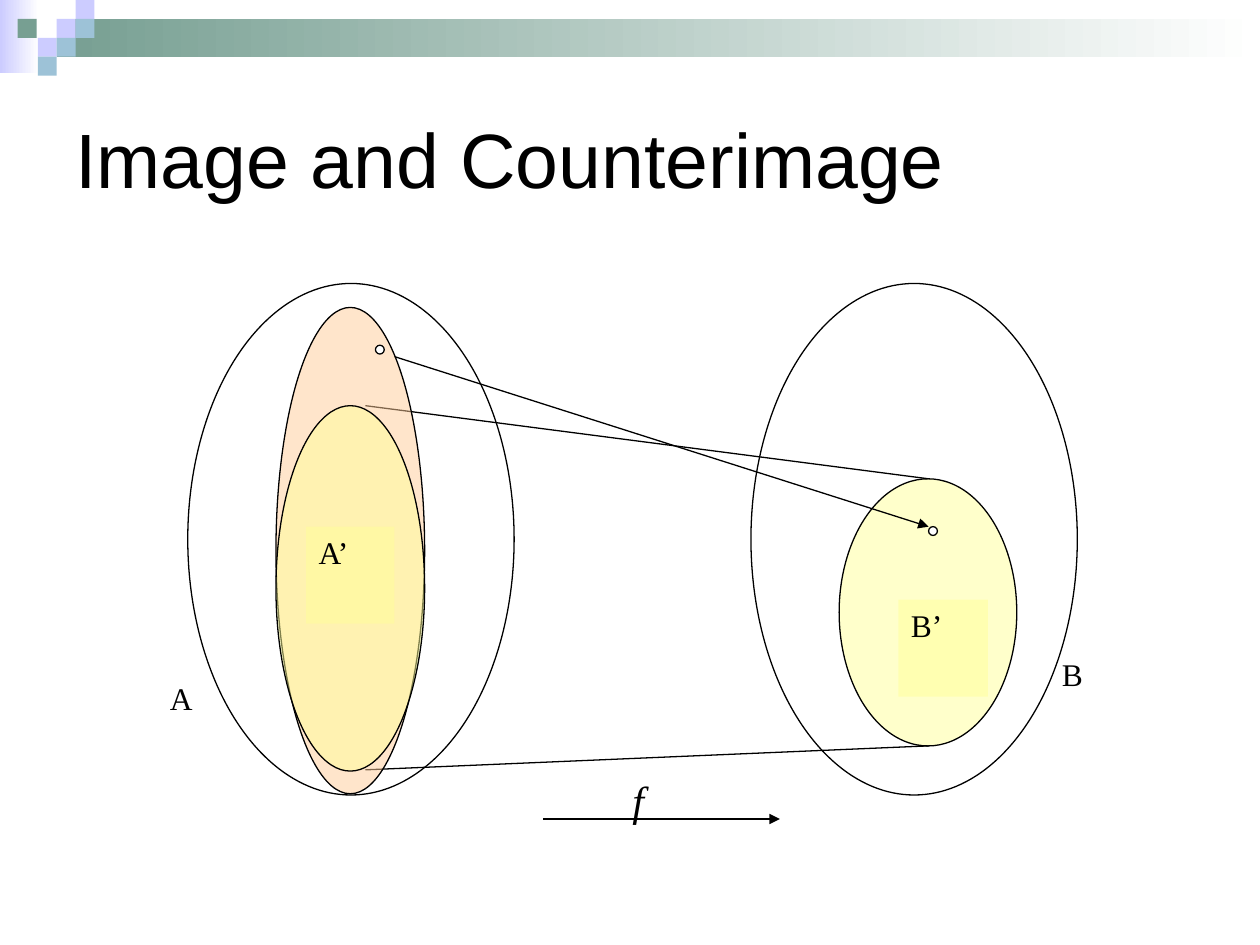
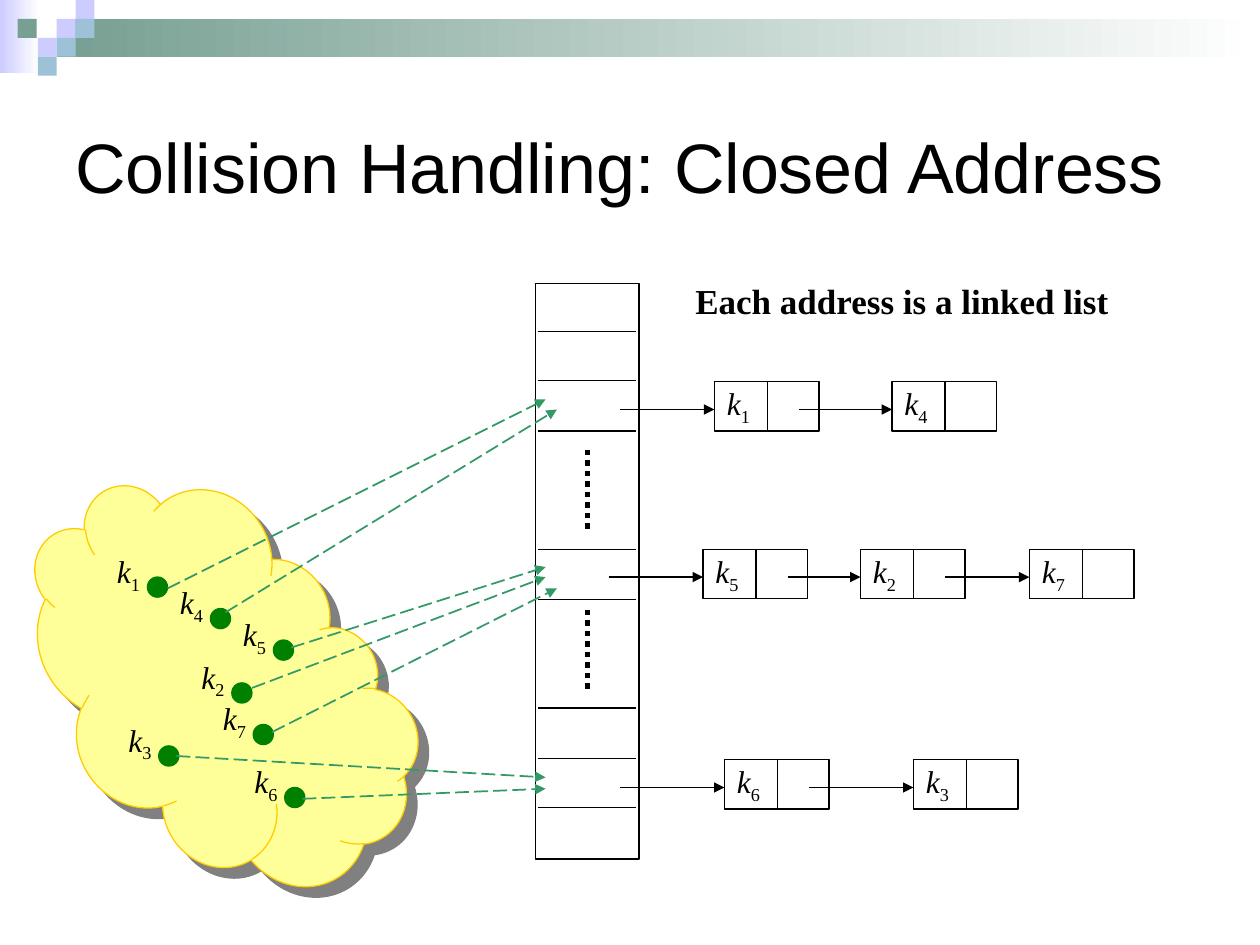
from dataclasses import dataclass

from lxml.etree import SubElement
from pptx import Presentation
from pptx.dml.color import RGBColor
from pptx.enum.dml import MSO_LINE
from pptx.enum.shapes import MSO_CONNECTOR, MSO_SHAPE
from pptx.enum.text import MSO_ANCHOR, PP_ALIGN
from pptx.oxml.ns import qn
from pptx.util import Emu, Pt

EMU_PER_PX = 9144  # 100 px to the inch


@dataclass(frozen=True)
class Theme:
    black: str = "000000"
    white: str = "FFFFFF"
    lavender: str = "CCCCFF"
    sage: str = "779F92"
    sky: str = "9DC2D7"
    yellow: str = "FFFF99"
    peach: str = "FFCC99"
    gold: str = "FFCC00"
    gray: str = "808080"
    dot_green: str = "008000"
    arrow_green: str = "339966"
    title_font: str = "Arial"
    body_font: str = "Times New Roman"
    title_size: int = 44
    long_title_size: int = 40
    label_size: int = 18
    note_size: int = 20
    function_size: int = 24
    thin: float = 0.75
    medium: float = 1
    dotted: float = 3


THEME = Theme()


def px(*lengths):
    return [Emu(length * EMU_PER_PX) for length in lengths]


def rgb(color):
    return RGBColor.from_string(color)


def add_figure(slide, kind, box, fill=None, line=None, width=THEME.thin, opacity=100):
    shape = slide.shapes.add_shape(kind, *px(*box))
    shape.shadow.inherit = False
    if fill:
        shape.fill.solid()
        shape.fill.fore_color.rgb = rgb(fill)
    else:
        shape.fill.background()
    if opacity < 100:
        color = shape.element.spPr.find(qn("a:solidFill"))[0]
        SubElement(color, qn("a:alpha"), val=str(opacity * 1000))
    if line:
        shape.line.color.rgb = rgb(line)
        shape.line.width = Pt(width)
    else:
        shape.line.fill.background()
    return shape


def add_ellipse(slide, box, fill, opacity=100, line=THEME.black):
    return add_figure(slide, MSO_SHAPE.OVAL, box, fill, line, opacity=opacity)


def add_fading_band(slide, box, color):
    band = add_figure(slide, MSO_SHAPE.RECTANGLE, box, color)
    band.fill.gradient()
    band.fill.gradient_angle = 0
    for stop, stop_color in zip(band.fill.gradient_stops, (color, THEME.white)):
        stop.color.rgb = rgb(stop_color)


def add_line(slide, start, end, color=THEME.black, width=THEME.thin, dash=None, arrow=False):
    connector = slide.shapes.add_connector(MSO_CONNECTOR.STRAIGHT, *px(*start, *end))
    connector.line.color.rgb = rgb(color)
    connector.line.width = Pt(width)
    if dash:
        connector.line.dash_style = dash
    properties = connector.element.spPr
    if arrow:
        SubElement(properties.find(qn("a:ln")), qn("a:tailEnd"), type="triangle")
    SubElement(properties, qn("a:effectLst"))


def add_run(paragraph, text, size, font=THEME.body_font, bold=False, italic=False, subscript=False):
    run = paragraph.add_run()
    run.text = text
    run.font.name = font
    run.font.size = Pt(size)
    run.font.bold = bold
    run.font.italic = italic
    run.font.color.rgb = rgb(THEME.black)
    if subscript:
        run._r.get_or_add_rPr().set("baseline", "-25000")


def prepare_paragraph(shape, anchor=MSO_ANCHOR.TOP):
    """Set up the text frame and return its first paragraph."""
    frame = shape.text_frame
    frame.word_wrap = True
    frame.vertical_anchor = anchor
    paragraph = frame.paragraphs[0]
    paragraph.alignment = PP_ALIGN.LEFT
    return paragraph


def add_text(slide, box, text, size, anchor=MSO_ANCHOR.TOP, **style):
    text_box = slide.shapes.add_textbox(*px(*box))
    add_run(prepare_paragraph(text_box, anchor), text, size, **style)


def add_key(slide, left, top, width, index):
    """Write an italic k with the index below the line."""
    paragraph = prepare_paragraph(slide.shapes.add_textbox(*px(left, top, width, 40)))
    add_run(paragraph, "k", THEME.label_size, italic=True)
    add_run(paragraph, str(index), THEME.label_size, subscript=True)


def add_slide(presentation):
    """Add a blank slide with the bands and the square mosaic."""
    slide = presentation.slides.add_slide(presentation.slide_layouts[6])
    add_fading_band(slide, (0, 0, 31, 58), THEME.lavender)
    add_fading_band(slide, (45, 15, 955, 30), THEME.sage)
    mosaic = {
        THEME.lavender: [(45, 15), (60, 0), (30, 30)],
        THEME.sky: [(60, 15), (45, 30), (30, 45)],
        THEME.sage: [(14, 15)],
    }
    for color, corners in mosaic.items():
        for corner in corners:
            add_figure(slide, MSO_SHAPE.RECTANGLE, (*corner, 15, 15), color)
    return slide


def add_title(slide, box, text, size):
    add_text(slide, box, text, size, anchor=MSO_ANCHOR.MIDDLE, font=THEME.title_font)


def add_subset_label(slide, box, text):
    shape = add_figure(slide, MSO_SHAPE.RECTANGLE, box, THEME.yellow, opacity=50)
    add_run(prepare_paragraph(shape), text, THEME.label_size)


def add_point(slide, left, top):
    add_ellipse(slide, (left, top, 7, 7), THEME.white)


def build_image_slide(presentation):
    slide = add_slide(presentation)
    for set_left in (149, 596):
        add_ellipse(slide, (set_left, 225, 259, 406), THEME.white)
    add_ellipse(slide, (666, 380, 141, 212), THEME.yellow, 50)
    add_point(slide, 737, 418)
    add_text(slide, (833, 515, 94, 77), "B", THEME.label_size)
    add_subset_label(slide, (713, 476, 71, 77), "B’")

    add_line(slide, (290, 322), (737, 380))
    add_line(slide, (290, 611), (737, 592))
    add_line(slide, (313, 283), (737, 418), arrow=True)
    add_line(slide, (431, 650), (619, 650), arrow=True)

    add_ellipse(slide, (219, 244, 118, 386), THEME.peach, 50)
    add_text(slide, (125, 534, 71, 97), "A", THEME.label_size)
    add_ellipse(slide, (219, 322, 118, 290), THEME.yellow, 50)
    add_point(slide, 298, 274)
    add_subset_label(slide, (243, 418, 70, 77), "A’")
    add_text(slide, (492, 610, 42, 50), "f", THEME.function_size, italic=True)
    add_title(slide, (50, 50, 900, 150), "Image and Counterimage", THEME.title_size)


def add_key_cloud(slide):
    cloud = add_figure(slide, MSO_SHAPE.CLOUD, (-8, 425, 358, 242), THEME.yellow, THEME.gold)
    cloud.rotation = 58.1
    effects = cloud.element.spPr.find(qn("a:effectLst"))
    shadow = SubElement(effects, qn("a:outerShdw"), dist=str(Pt(8.5)),
                        dir=str(45 * 60000), algn="ctr", rotWithShape="0")
    SubElement(shadow, qn("a:srgbClr"), val=THEME.gray)


def add_address_table(slide):
    add_figure(slide, MSO_SHAPE.RECTANGLE, (425, 225, 82, 457), None, THEME.black, THEME.medium)
    for y in (263, 302, 342, 436, 476, 562, 602, 641):
        add_line(slide, (427, y), (505, y))
    for top in (357, 484):
        add_line(slide, (466, top), (466, top + 63), width=THEME.dotted, dash=MSO_LINE.ROUND_DOT)


def add_linked_list(slide, arrow_left, top, nodes):
    """Draw a chain of (left, key index) nodes, each reached by an arrow."""
    arrow_y = top + 22
    for left, index in nodes:
        add_figure(slide, MSO_SHAPE.RECTANGLE, (left, top, 83, 39), None, THEME.black)
        add_line(slide, (left + 42, top), (left + 42, top + 39))
        add_key(slide, left, top - 3, 50, index)
        add_line(slide, (arrow_left, arrow_y), (left, arrow_y), arrow=True)
        arrow_left = left + 67


def add_dotted_key(slide, left, top, index):
    add_ellipse(slide, (left + 34, top + 25, 16, 16), THEME.dot_green, line=THEME.dot_green)
    add_key(slide, left, top, 67, index)


def build_collision_slide(presentation):
    slide = add_slide(presentation)
    add_key_cloud(slide)
    add_title(slide, (50, 62, 900, 138), "Collision Handling: Closed Address", THEME.long_title_size)
    add_address_table(slide)

    add_linked_list(slide, 492, 303, [(567, 1), (708, 4)])
    add_linked_list(slide, 483, 436, [(558, 5), (683, 2), (817, 7)])
    add_linked_list(slide, 492, 603, [(575, 6), (725, 3)])

    key_corners = {1: (83, 433), 5: (183, 483), 2: (150, 517), 4: (133, 458),
                   3: (92, 567), 7: (167, 550), 6: (192, 600)}
    for index, corner in key_corners.items():
        add_dotted_key(slide, *corner, index)

    hash_arrows = [
        ((133, 467), (433, 317)),
        ((179, 486), (442, 325)),
        ((231, 514), (433, 450)),
        ((200, 546), (433, 458)),
        ((216, 581), (442, 467)),
        ((140, 600), (433, 617)),
        ((240, 634), (433, 626)),
    ]
    for start, end in hash_arrows:
        add_line(slide, start, end, THEME.arrow_green, THEME.medium, MSO_LINE.LONG_DASH, arrow=True)
    add_text(slide, (542, 217, 367, 43), "Each address is a linked list", THEME.note_size, bold=True)


def main():
    presentation = Presentation()
    presentation.slide_width, presentation.slide_height = px(1000, 750)
    build_image_slide(presentation)
    build_collision_slide(presentation)
    presentation.save("out.pptx")


if __name__ == "__main__":
    main()
